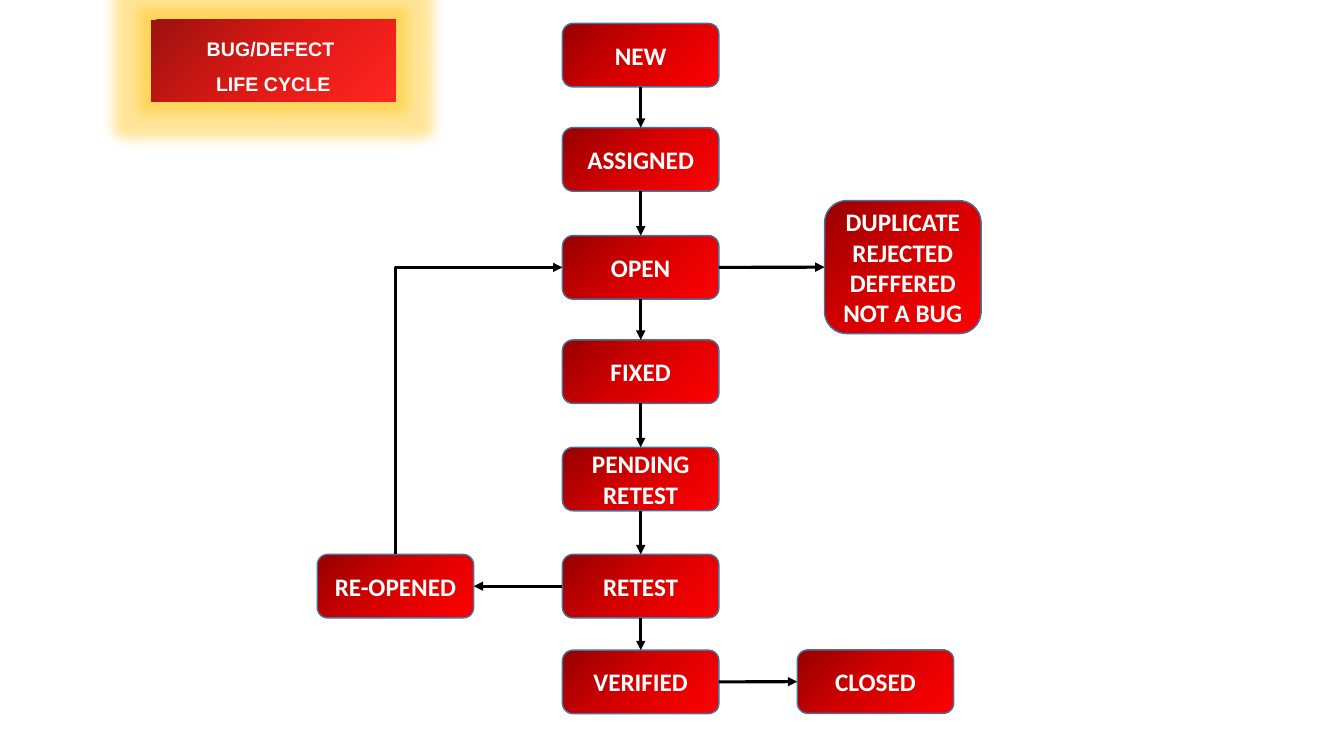
from pptx import Presentation
from pptx.dml.color import RGBColor
from pptx.enum import shapes, text
from pptx.oxml import ns, parse_xml
from pptx.util import Pt

# Content: state -> (left, top, height) in points
COLUMN, STATE_WIDTH, STATE_HEIGHT = 401.76, 111.8, 45.4
STATES = {
    "NEW": (COLUMN, 16.7, STATE_HEIGHT),
    "ASSIGNED": (COLUMN, 91.2, STATE_HEIGHT),
    "OPEN": (COLUMN, 168.3, STATE_HEIGHT),
    "FIXED": (COLUMN, 242.8, STATE_HEIGHT),
    "PENDING RETEST": (COLUMN, 319.5, STATE_HEIGHT),
    "RETEST": (COLUMN, 396, STATE_HEIGHT),
    "VERIFIED": (COLUMN, 464.4, STATE_HEIGHT),
    "CLOSED": (569.5, 464.2, STATE_HEIGHT),
    "DUPLICATE REJECTED DEFFERED NOT A BUG": (589, 143.3, 95),
    "RE-OPENED": (226.6, 396, STATE_HEIGHT),
}
MAIN_FLOW = list(STATES)[:7]
TITLE_LINES = ["BUG/DEFECT ", "LIFE CYCLE"]

# Connection sites of a rectangle
TOP, LEFT, BOTTOM, RIGHT = range(4)
TRANSITIONS = [(a, BOTTOM, b, TOP) for a, b in zip(MAIN_FLOW, MAIN_FLOW[1:])] + [
    ("OPEN", RIGHT, "DUPLICATE REJECTED DEFFERED NOT A BUG", LEFT),
    ("VERIFIED", RIGHT, "CLOSED", LEFT),
    ("RETEST", LEFT, "RE-OPENED", RIGHT),
]

# Colours
WHITE = RGBColor(0xFF, 0xFF, 0xFF)
BLACK = RGBColor(0, 0, 0)
OUTLINE = RGBColor(0x43, 0x73, 0x9E)
GLOW = RGBColor(0xFF, 0xC0, 0x00)
STATE_REDS = [RGBColor(0x97, 0, 0), RGBColor(0xD7, 0, 0), RGBColor(0xFF, 0, 0)]
TITLE_REDS = [RGBColor(0x9C, 0x12, 0x0E), RGBColor(0xDE, 0x19, 0x15), RGBColor(0xFF, 0x26, 0x21)]


def element(xml):
    head, rest = xml.split(">", 1) if not xml.endswith("/>") else (xml[:-2], None)
    head += " " + ns.nsdecls("a")
    return parse_xml(head + ("/>" if rest is None else ">" + rest))


def add_panel(kind, left, top, width, height, reds):
    panel = slide.shapes.add_shape(kind, Pt(left), Pt(top), Pt(width), Pt(height))
    panel.shadow.inherit = False
    panel.fill.gradient()
    stops = "".join(f'<a:gs pos="{i * 50000}"><a:srgbClr val="{red}"/></a:gs>'
                    for i, red in enumerate(reds))
    gradient = panel._element.spPr.find(ns.qn("a:gradFill"))
    gradient.getparent().replace(gradient, element(
        f'<a:gradFill rotWithShape="1"><a:gsLst>{stops}</a:gsLst>'
        '<a:lin ang="2700000" scaled="0"/></a:gradFill>'))
    return panel


def write(panel, lines, font_name, size, spacing):
    panel.text_frame.text = "\n".join(lines)
    for paragraph in panel.text_frame.paragraphs:
        paragraph.alignment = text.PP_ALIGN.CENTER
        paragraph.line_spacing = spacing
        font = paragraph.runs[0].font
        font.name, font.size, font.bold = font_name, Pt(size), True
        font.color.rgb = WHITE


def connect(kind, start, start_site, end, end_site, arrow_end):
    arrow = slide.shapes.add_connector(kind, 0, 0, 0, 0)
    arrow.begin_connect(boxes[start], start_site)
    arrow.end_connect(boxes[end], end_site)
    arrow.line.color.rgb = BLACK
    arrow.line.width = Pt(2.25)
    arrow.line._get_or_add_ln().append(element(f'<a:{arrow_end} type="triangle"/>'))
    arrow._element.spPr.append(element("<a:effectLst/>"))
    return arrow


presentation = Presentation()
presentation.slide_width, presentation.slide_height = Pt(960), Pt(540)
slide = presentation.slides.add_slide(presentation.slide_layouts[6])

# States
boxes = {}
for state, (left, top, height) in STATES.items():
    box = add_panel(shapes.MSO_SHAPE.ROUNDED_RECTANGLE, left, top, STATE_WIDTH, height, STATE_REDS)
    box.line.color.rgb = OUTLINE
    box.line.width = Pt(1)
    write(box, [state], "Calibri", 18, 1)
    boxes[state] = box

# Transitions
for transition in TRANSITIONS:
    connect(shapes.MSO_CONNECTOR.STRAIGHT, *transition, "tailEnd")

# Return loop: one corner, with the arrowhead at OPEN
loop = connect(shapes.MSO_CONNECTOR.ELBOW, "OPEN", LEFT, "RE-OPENED", TOP, "headEnd")
loop._element.spPr.find(ns.qn("a:prstGeom")).set("prst", "bentConnector2")

# Title with a glow
title = add_panel(shapes.MSO_SHAPE.RECTANGLE, 108, 14.2, 174.5, 58.4, TITLE_REDS)
title.line.fill.background()
title.text_frame.word_wrap = True
title.text_frame.vertical_anchor = text.MSO_ANCHOR.TOP
write(title, TITLE_LINES, "Arial", 14, 1.5)
title._element.spPr.find(ns.qn("a:effectLst")).append(element(
    f'<a:glow rad="{Pt(18)}"><a:srgbClr val="{GLOW}"><a:alpha val="40000"/></a:srgbClr></a:glow>'))

presentation.save("out.pptx")
